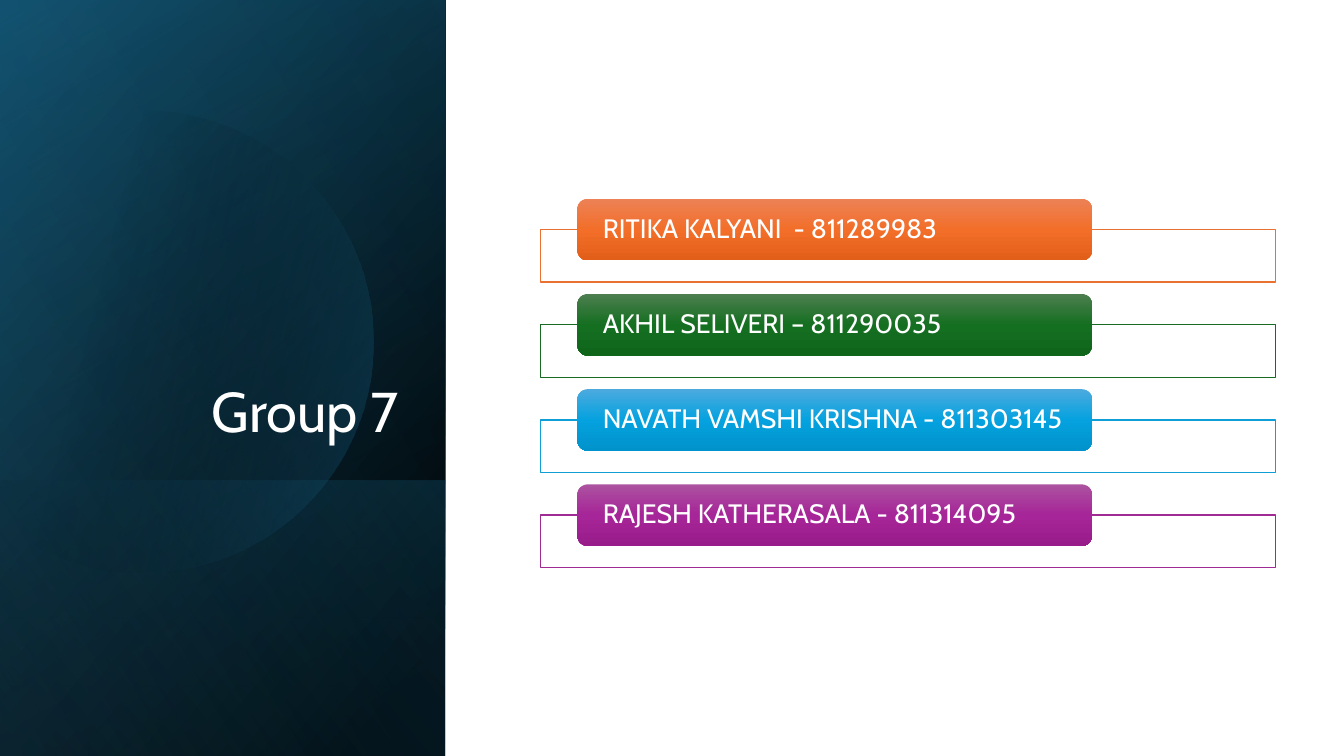
import math

import lxml.etree
import pptx
import pptx.dml.color
import pptx.enum.shapes
import pptx.enum.text
import pptx.oxml.ns
import pptx.oxml.xmlchemy
import pptx.util

Pt = pptx.util.Pt
KIND = pptx.enum.shapes.MSO_SHAPE
ALIGN = pptx.enum.text.PP_ALIGN
ANCHOR = pptx.enum.text.MSO_ANCHOR
qn = pptx.oxml.ns.qn

HUES = {
    "white": "FFFFFF",
    "black": "000000",
    "navy": "104862",
    "teal": "156082",
    "sky": "46B1E1",
}
WIDE, HIGH = 960, 540
SIDE = 318  # width of the dark side panel

# Text, frame line, and the three gradient colours of the bar
ROWS = [
    ("RITIKA KALYANI  - 811289983", "E97132", ("ED8257", "F26E29", "E25F1A")),
    ("AKHIL SELIVERI – 811290035", "196B24", ("4D7E50", "156F21", "0F661B")),
    ("NAVATH VAMSHI KRISHNA - 811303145", "0F9ED5", ("4CAADF", "05A2DF", "0092CB")),
    ("RAJESH KATHERASALA - 811314095", "A02B93", ("AC53A0", "A62598", "991C8B")),
]
TOP, PITCH = 142, 68


def color(hue):
    return pptx.dml.color.RGBColor.from_string(hue)


def blend(shape, stops, angle):
    """Fill with a linear gradient; stops are (place, hue, opacity) in percent."""
    shape.fill.solid()
    old = shape._element.spPr.find(qn("a:solidFill"))
    grad = pptx.oxml.xmlchemy.OxmlElement("a:gradFill")
    grad.set("rotWithShape", "1")
    steps = lxml.etree.SubElement(grad, qn("a:gsLst"))
    for place, hue, opacity in stops:
        stop = lxml.etree.SubElement(steps, qn("a:gs"), pos=str(place * 1000))
        tint = lxml.etree.SubElement(stop, qn("a:srgbClr"), val=hue)
        if opacity < 100:
            lxml.etree.SubElement(tint, qn("a:alpha"), val=str(opacity * 1000))
    lxml.etree.SubElement(grad, qn("a:lin"), ang=str(angle * 60000), scaled="0")
    old.getparent().replace(old, grad)


def block(slide, kind, left, top, width, height):
    shape = slide.shapes.add_shape(kind, Pt(left), Pt(top), Pt(width), Pt(height))
    shape.shadow.inherit = False
    shape.line.fill.background()
    return shape


def write(shape, text, size=19, align=ALIGN.LEFT, anchor=ANCHOR.MIDDLE, inset=(16, 0)):
    frame = shape.text_frame
    frame.word_wrap = True
    frame.vertical_anchor = anchor
    frame.margin_left = frame.margin_right = Pt(inset[0])
    frame.margin_top = frame.margin_bottom = Pt(inset[1])
    para = frame.paragraphs[0]
    para.alignment = align
    para.line_spacing = 0.9
    run = para.add_run()
    run.text = text
    run.font.name = "Cabin"
    run.font.size = Pt(size)
    run.font.color.rgb = color(HUES["white"])


def panel(slide, top, stops, angle):
    """Cover the side from top to the slide's foot with a turned, flipped gradient."""
    tall = HIGH - top
    left, upper = (SIDE - tall) / 2, top + (tall - SIDE) / 2
    shape = block(slide, KIND.RECTANGLE, left, upper, tall, SIDE)
    shape.rotation = 90
    shape._element.spPr.find(qn("a:xfrm")).set("flipH", "1")
    blend(shape, stops, angle)


def disc(slide):
    """Draw the faint circle, cut off at the slide's left edge."""
    mid_x, mid_y, radius = 102, 244, 165
    limit = math.acos(-mid_x / radius)
    count = 120
    turns = [limit * (2 * i / count - 1) for i in range(count + 1)]
    dots = [
        (Pt(mid_x + radius * math.cos(t)), Pt(mid_y + radius * math.sin(t)))
        for t in turns
    ]
    form = slide.shapes.build_freeform(*dots[0])
    form.add_line_segments(dots[1:], close=True)
    shape = form.convert_to_shape()
    shape.shadow.inherit = False
    shape.line.fill.background()
    blend(shape, [(29, HUES["black"], 0), (100, HUES["teal"], 43)], 14)


def member(slide, top, text, edge, shades):
    # Outlined frame behind the bar
    frame = block(slide, KIND.RECTANGLE, 386, top + 22, 525, 37.5)
    frame.fill.solid()
    frame.fill.fore_color.rgb = color(HUES["white"])
    frame.line.color.rgb = color(edge)
    frame.line.width = Pt(1)
    # Bar with the name
    bar = block(slide, KIND.ROUNDED_RECTANGLE, 412.5, top, 367.5, 44)
    blend(bar, [(i * 50, hue, 100) for i, hue in enumerate(shades)], 90)
    write(bar, text)


def main():
    deck = pptx.Presentation()
    deck.slide_width, deck.slide_height = Pt(WIDE), Pt(HIGH)
    slide = deck.slides.add_slide(deck.slide_layouts[6])

    # Side panel, in layers
    black, teal = HUES["black"], HUES["teal"]
    panel(slide, 0, [(8, black, 100), (100, HUES["navy"], 100)], 50)
    panel(slide, 0, [(0, black, 0), (99, teal, 46)], 30)
    panel(slide, 343, [(2, teal, 29), (100, black, 30)], 130)
    disc(slide)
    panel(slide, 0, [(0, black, 0), (99, HUES["sky"], 11)], 120)

    # Title
    title = slide.shapes.add_textbox(Pt(46), Pt(132.5), Pt(245.5), Pt(188.5))
    write(title, "Group 7", size=40, align=ALIGN.RIGHT, anchor=ANCHOR.BOTTOM,
          inset=(7.2, 3.6))

    # Members
    for i, row in enumerate(ROWS):
        member(slide, TOP + i * PITCH, *row)

    deck.save("out.pptx")


if __name__ == "__main__":
    main()
